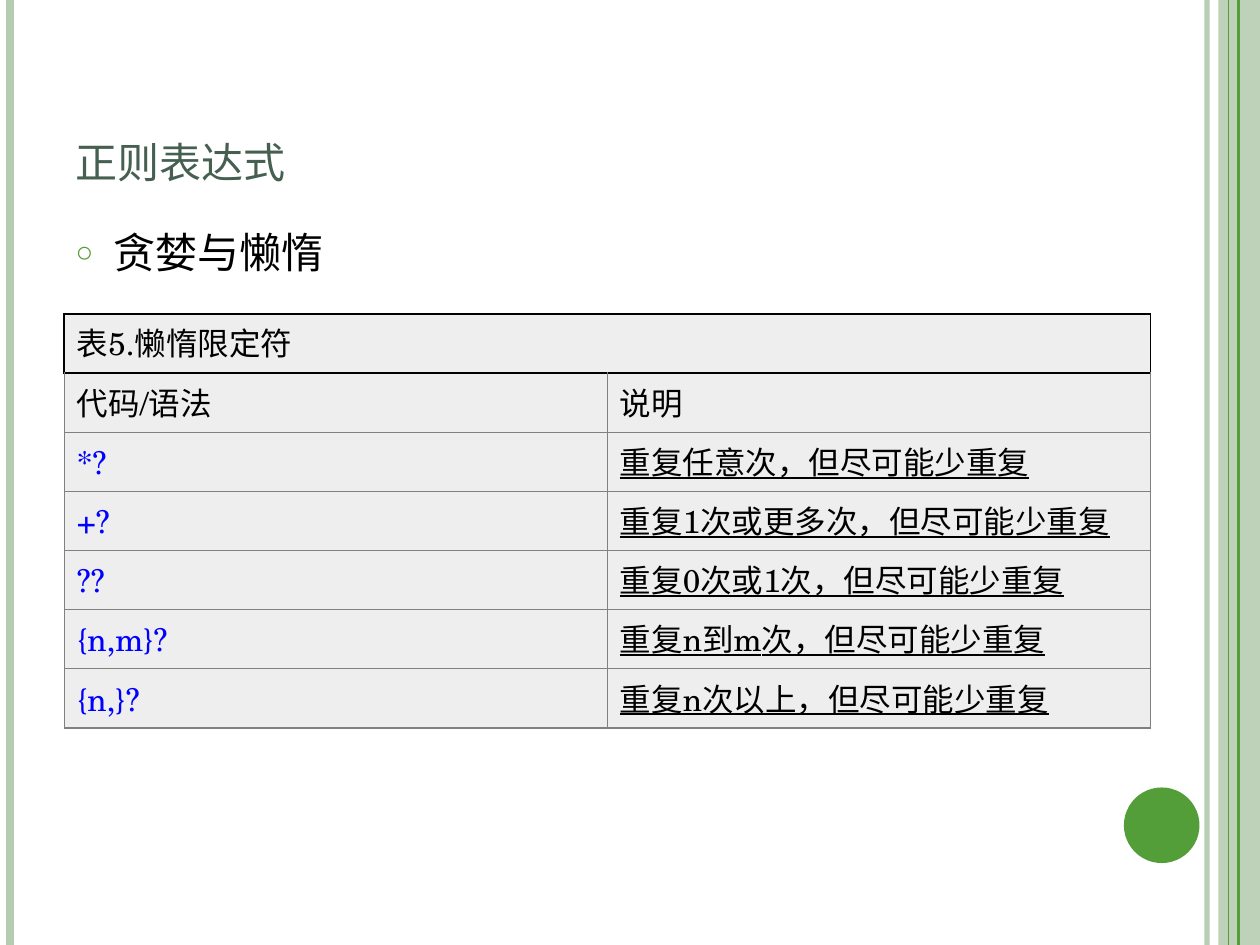
from pptx import Presentation
from pptx.dml.color import RGBColor
from pptx.enum.shapes import MSO_CONNECTOR as LINE, MSO_SHAPE as SHAPE
from pptx.enum.text import MSO_ANCHOR as ANCHOR, MSO_AUTO_SIZE as FIT, PP_ALIGN as ALIGN
from pptx.oxml import parse_xml
from pptx.oxml.ns import nsdecls
from pptx.util import Inches, Pt
from lxml import etree

FONT = "TeX Gyre Schola"
GREEN = RGBColor(0x54, 0x9E, 0x39)
PALE = RGBColor(0xB4, 0xCC, 0xAF)
DARK = RGBColor(0x45, 0x5F, 0x51)
BLACK = RGBColor(0, 0, 0)
BLUE = RGBColor(0, 0, 0xFF)
GRAY = RGBColor(0x80, 0x80, 0x80)
LIGHT = RGBColor(0xEE, 0xEE, 0xEE)


def add_run(para, text, size, color, under=False):
    run = para.add_run()
    run.text = text
    font = run.font
    font.name, font.size, font.underline = FONT, Pt(size), under
    font.color.rgb = color
    props = run._r.get_or_add_rPr()
    props.append(parse_xml(f'<a:ea {nsdecls("a")} typeface="{FONT}"/>'))
    return props


def set_alpha(fill, percent):
    color = fill._xPr.find(".//{*}srgbClr")
    color.append(parse_xml(f'<a:alpha {nsdecls("a")} val="{percent * 1000}"/>'))


prs = Presentation()
prs.slide_width, prs.slide_height = Inches(10), Inches(7.5)
slide = prs.slides.add_slide(prs.slide_layouts[1])
shapes = slide.shapes

# Side band and disc
for kind, box, color in [
    (SHAPE.RECTANGLE, (9.67, 0, 0.33, 7.5), PALE),
    (SHAPE.OVAL, (8.92, 6.25, 0.6, 0.6), GREEN),
]:
    shape = shapes.add_shape(kind, *map(Inches, box))
    shape.shadow.inherit = False
    shape.fill.solid()
    shape.fill.fore_color.rgb = color
    shape.line.fill.background()
    if kind == SHAPE.RECTANGLE:
        set_alpha(shape.fill, 87)

# Upright lines
for x, color, width, alpha in [
    (9.58, PALE, 3, 93),
    (0.08, PALE, 4.5, 100),
    (9.83, GREEN, 1.5, 100),
    (9.75, GREEN, 0.75, 100),
]:
    line = shapes.add_connector(LINE.STRAIGHT, Inches(x), 0, Inches(x), Inches(7.5))
    line.line.color.rgb = color
    line.line.width = Pt(width)
    if alpha < 100:
        set_alpha(line.line.fill, alpha)
    line._element.spPr.append(parse_xml(f'<a:effectLst {nsdecls("a")}/>'))

# Title and bullet
title, body = shapes.title, slide.placeholders[1]
for holder, top, height, anchor in [
    (title, 0.3, 1.25, ANCHOR.BOTTOM),
    (body, 1.75, 5.33, ANCHOR.TOP),
]:
    holder.left, holder.top = Inches(0.5), Inches(top)
    holder.width, holder.height = Inches(8.17), Inches(height)
    frame = holder.text_frame
    frame.word_wrap, frame.auto_size = True, FIT.NONE
    frame.vertical_anchor = anchor
    frame.paragraphs[0].alignment = ALIGN.LEFT

add_run(title.text_frame.paragraphs[0], "正则表达式", 30, DARK).set("cap", "small")

para = body.text_frame.paragraphs[0]
para.space_before = Pt(6)
props = para._p.get_or_add_pPr()
props.set("marL", str(Inches(0.3)))
props.set("indent", str(-Inches(0.3)))
color = etree.SubElement(props, "{%s}buClr" % props.nsmap["a"])
color.append(parse_xml(f'<a:srgbClr {nsdecls("a")} val="{GREEN}"/>'))
for mark in ('buSzPct {} val="70000"', 'buFont {} typeface="Arial"', 'buChar {} char="○"'):
    props.append(parse_xml("<a:" + mark.format(nsdecls("a")) + "/>"))
add_run(para, "贪婪与懒惰", 24, BLACK)

# Table of lazy quantifiers
rows = [
    ("表5.懒惰限定符", ""),
    ("代码/语法", "说明"),
    ("*?", "重复任意次，但尽可能少重复"),
    ("+?", "重复1次或更多次，但尽可能少重复"),
    ("??", "重复0次或1次，但尽可能少重复"),
    ("{n,m}?", "重复n到m次，但尽可能少重复"),
    ("{n,}?", "重复n次以上，但尽可能少重复"),
]
table = shapes.add_table(len(rows), 2, Inches(0.51), Inches(2.49),
                         Inches(8.62), Inches(0.47 * len(rows))).table
table.first_row = table.horz_banding = False
table.cell(0, 0).merge(table.cell(0, 1))
for r, row in enumerate(rows):
    for c, text in enumerate(row):
        cell = table.cell(r, c)
        cell.vertical_anchor = ANCHOR.MIDDLE
        edge, width = (BLACK, 1) if r == 0 else (GRAY, 0.75)
        for side in "LRTB":
            tint = BLACK if r == 1 and side == "T" else edge
            cell._tc.get_or_add_tcPr().append(parse_xml(
                f'<a:ln{side} {nsdecls("a")} w="{Pt(width)}"><a:solidFill>'
                f'<a:srgbClr val="{tint}"/></a:solidFill></a:ln{side}>'))
        cell.fill.solid()
        cell.fill.fore_color.rgb = LIGHT
        if text:
            ink = BLUE if r > 1 and c == 0 else BLACK
            add_run(cell.text_frame.paragraphs[0], text, 18, ink, r > 1 and c == 1)

prs.save("out.pptx")
